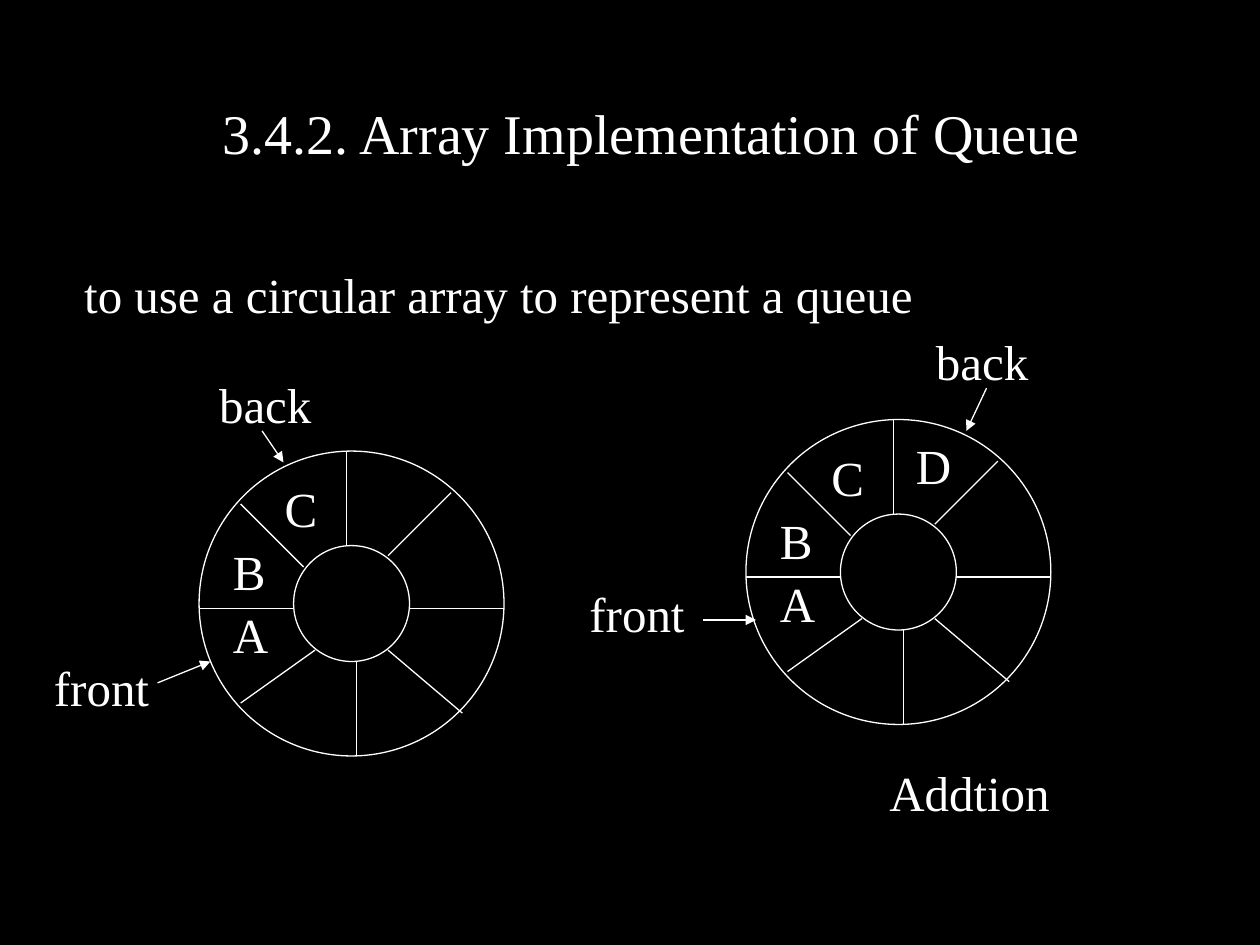
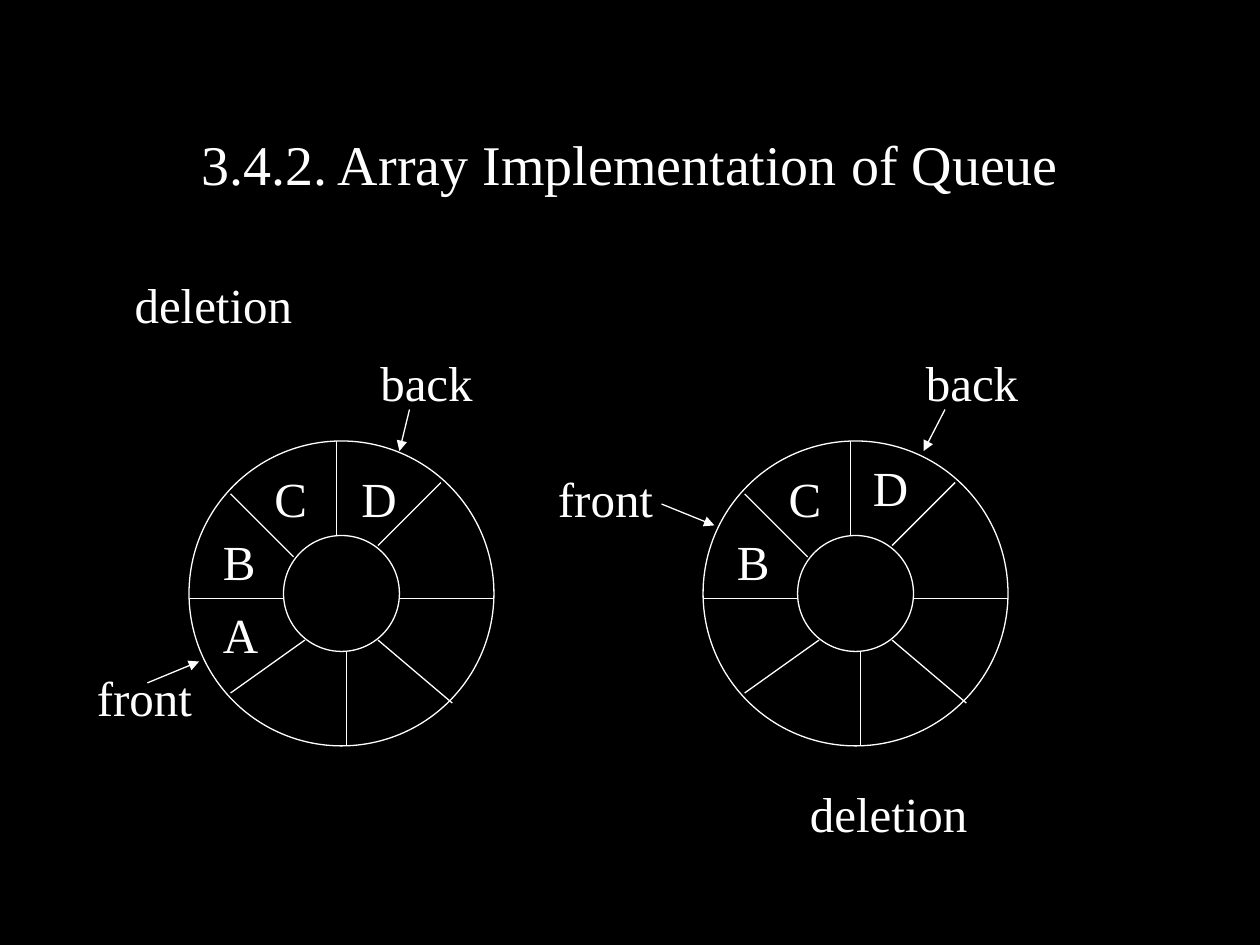
from lxml import etree
from pptx import Presentation
from pptx import util as u
from pptx.dml.color import RGBColor
from pptx.enum import shapes, text
from pptx.oxml import ns

COLOURS = {"background": "000000", "ink": "FFFFFF"}
TITLE = "3.4.2. Array Implementation of Queue"
RING_SIZE = 2.42
HUB_SIZE = 0.92
HUB_OFFSET = 0.75
SPOKES = [
    ((1.17, 0), (1.17, 0.75)),
    ((1.5, 0.83), (2, 0.33)),
    ((1.67, 1.25), (2.42, 1.25)),
    ((1.5, 1.58), (2.09, 2.08)),
    ((1.25, 1.67), (1.25, 2.42)),
    ((0.92, 1.58), (0.33, 2)),
    ((0.75, 1.25), (0, 1.25)),
    ((0.83, 0.92), (0.33, 0.42)),
]
CELLS = {"A": (0.17, 1.17), "B": (0.17, 0.67), "C": (0.58, 0.17), "D": (1.25, 0.08)}


class QueueDeck:
    font = "Times New Roman"
    line_width = u.Pt(0.75)

    def __init__(self):
        self.deck = Presentation()
        self.deck.slide_width = u.Inches(10)
        self.deck.slide_height = u.Inches(7.5)
        self.page = None

    def colour(self, name):
        return RGBColor.from_string(COLOURS[name])

    def add_page(self, title_left, title_top):
        self.page = self.deck.slides.add_slide(self.deck.slide_layouts[6])
        fill = self.page.background.fill
        fill.solid()
        fill.fore_color.rgb = self.colour("background")
        box = self.label(TITLE, title_left, title_top, 8.5, 1.25, 32)
        box.text_frame.vertical_anchor = text.MSO_ANCHOR.MIDDLE
        box.text_frame.paragraphs[0].alignment = text.PP_ALIGN.CENTER

    def label(self, words, left, top, width=1.08, height=0.57, size=28):
        box = self.page.shapes.add_textbox(
            u.Inches(left), u.Inches(top), u.Inches(width), u.Inches(height))
        box.text_frame.word_wrap = True
        span = box.text_frame.paragraphs[0].add_run()
        span.text = words
        span.font.name = self.font
        span.font.size = u.Pt(size)
        span.font.color.rgb = self.colour("ink")
        return box

    def circle(self, left, top, size):
        circle = self.page.shapes.add_shape(
            shapes.MSO_SHAPE.OVAL, u.Inches(left), u.Inches(top),
            u.Inches(size), u.Inches(size))
        circle.shadow.inherit = False
        circle.fill.background()
        self.stroke(circle)

    def stroke(self, item):
        item.line.color.rgb = self.colour("ink")
        item.line.width = self.line_width

    def line(self, start, end, arrow=False):
        line = self.page.shapes.add_connector(
            shapes.MSO_CONNECTOR.STRAIGHT,
            *(u.Inches(value) for value in (*start, *end)))
        self.stroke(line)
        if arrow:
            etree.SubElement(line.line._get_or_add_ln(), ns.qn("a:tailEnd"), type="triangle")
        etree.SubElement(line._element.spPr, ns.qn("a:effectLst"))

    def ring(self, left, top, letters, moved=None):
        self.circle(left, top, RING_SIZE)
        self.circle(left + HUB_OFFSET, top + HUB_OFFSET, HUB_SIZE)
        for spoke in SPOKES:
            self.line(*((left + x, top + y) for x, y in spoke))
        cells = {**CELLS, **(moved or {})}
        for letter in letters:
            x, y = cells[letter]
            self.label(letter, left + x, top + y, 0.58)

    def pointer(self, words, place, start, end):
        self.label(words, *place)
        self.line(start, end, arrow=True)


def main():
    queue = QueueDeck()

    queue.add_page(0.92, 0.42)
    queue.label("to use a circular array to represent a queue", 0.57, 2.05, 9)
    queue.ring(1.58, 3.58, "ABC")
    queue.pointer("back", (1.64, 2.92), (2.08, 3.42), (2.25, 3.67))
    queue.pointer("front", (0.33, 5.17), (1.25, 5.42), (1.67, 5.25))
    queue.ring(5.92, 3.33, "ABCD")
    queue.pointer("back", (7.33, 2.58), (7.83, 3.08), (7.67, 3.42))
    queue.pointer("front", (4.58, 4.58), (5.58, 4.92), (6, 4.92))
    queue.label("Addtion", 6.96, 6, 2.04)

    queue.add_page(0.75, 0.67)
    queue.label("deletion", 0.97, 2.13, 8.28)
    queue.ring(1.5, 3.5, "ABCD", {"A": (0.17, 1.25), "D": (1.27, 0.17)})
    queue.pointer("back", (2.92, 2.75), (3.25, 3.25), (3.17, 3.58))
    queue.pointer("front", (0.67, 5.25), (1.17, 5.42), (1.58, 5.25))
    queue.ring(5.58, 3.5, "BCD")
    queue.pointer("back", (7.25, 2.75), (7.5, 3.25), (7.33, 3.58))
    queue.pointer("front", (4.33, 3.67), (5.25, 4), (5.67, 4.17))
    queue.label("deletion", 6.33, 6.17, 2.33)

    queue.deck.save("out.pptx")


if __name__ == "__main__":
    main()
